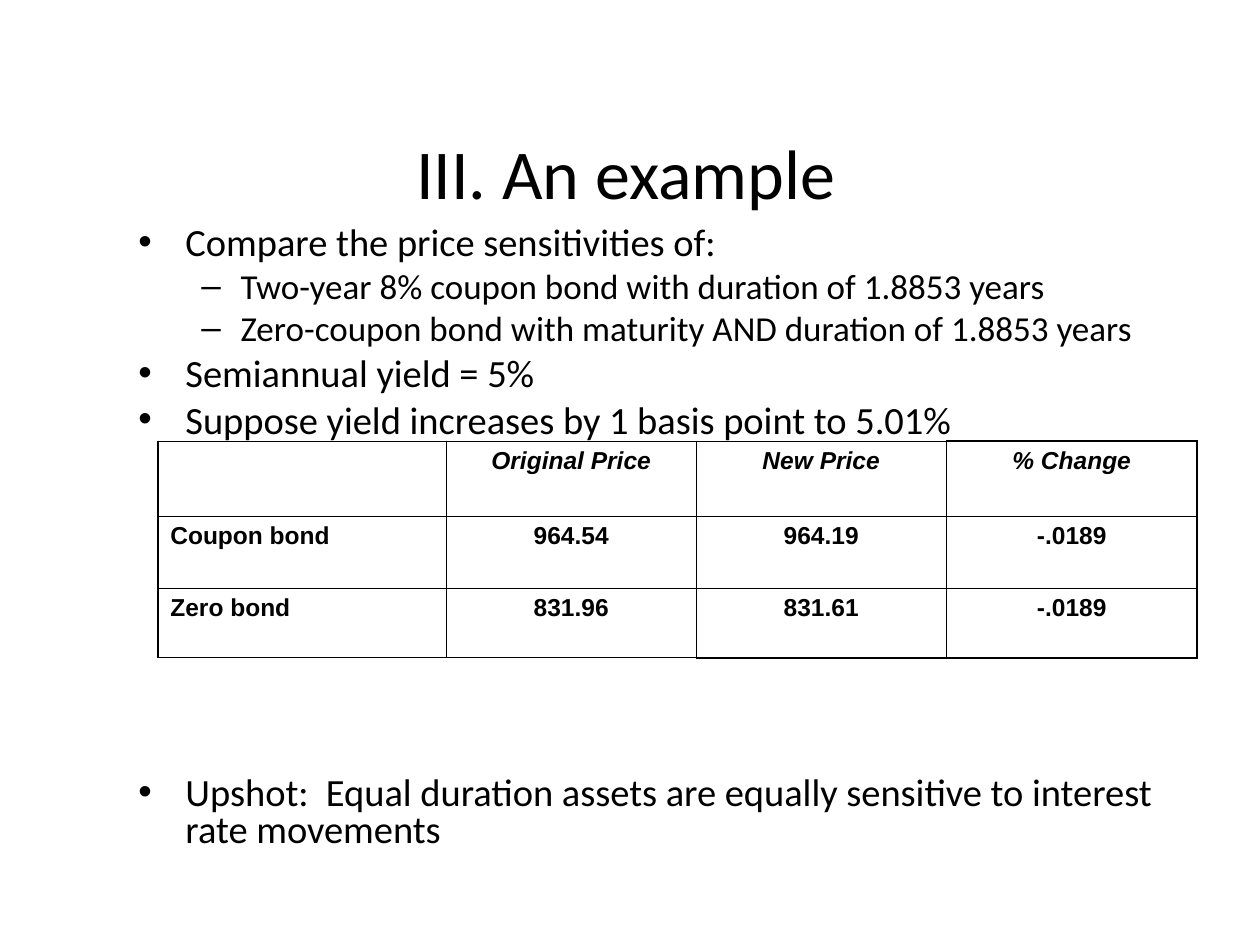
"""Build a slide comparing the price sensitivity of two bonds."""
from lxml import etree
from pptx import Presentation
from pptx import util as u
from pptx.dml.color import RGBColor
from pptx.enum import text
from pptx.oxml.ns import qn

BLACK = RGBColor(0, 0, 0)
THIN, THICK = u.Pt(0.45), u.Pt(1.08)


def add_run(para, words, font, size, bold=False, slant=False):
    run = para.add_run()
    run.text = words
    run.font.name, run.font.size = font, u.Pt(size)
    run.font.bold, run.font.italic = bold, slant
    run.font.color.rgb = BLACK


def add_node(base, tag, **attrs):
    return etree.SubElement(base, qn(tag), attrs)


deck = Presentation()
deck.slide_width, deck.slide_height = u.Cm(25.4), u.Cm(19.05)
slide = deck.slides.add_slide(deck.slide_layouts[5])

title = slide.shapes.title
title.left, title.top = u.Cm(0.84), u.Cm(2.97)
title.width, title.height = u.Cm(23.55), u.Cm(0.99)
frame = title.text_frame
frame.auto_size = text.MSO_AUTO_SIZE.NONE
frame.vertical_anchor = text.MSO_ANCHOR.MIDDLE
frame.paragraphs[0].alignment = text.PP_ALIGN.CENTER
add_run(frame.paragraphs[0], "III. An example", "Calibri", 40)

points = [
    (0, 0, "Compare the price sensitivities of:"),
    (1, 5, "Two-year 8% coupon bond with duration of 1.8853 years"),
    (1, 5, "Zero-coupon bond with maturity AND duration of 1.8853 years"),
    (0, 5.5, "Semiannual yield = 5%"),
    (0, 5.5, "Suppose yield increases by 1 basis point to 5.01%"),
    (0, 191.5, "Upshot:  Equal duration assets are equally sensitive to interest rate movements"),
]
styles = [("•", 0.95, 0.95, 22), ("–", 2.06, 0.79, 20)]
body = slide.shapes.add_textbox(u.Cm(2.54), u.Cm(4.45), u.Cm(21.39), u.Cm(14.6))
frame = body.text_frame
frame.word_wrap = True
for i, (level, gap, words) in enumerate(points):
    mark, left, hang, size = styles[level]
    para = frame.add_paragraph() if i else frame.paragraphs[0]
    props = para._p.get_or_add_pPr()
    props.set("marL", str(u.Cm(left)))
    props.set("indent", str(-u.Cm(hang)))
    color = add_node(props, "a:buClr")
    add_node(color, "a:srgbClr", val=str(BLACK))
    add_node(props, "a:buFont", typeface="Arial")
    add_node(props, "a:buChar", char=mark)
    para.level = level
    para.line_spacing = 0.8
    para.space_before = u.Pt(gap)
    add_run(para, words, "Calibri", size)

rows = [
    ("", "Original Price", "New Price", "% Change"),
    ("Coupon bond", "964.54", "964.19", "-.0189"),
    ("Zero bond", "831.96", "831.61", "-.0189"),
]
widths, heights = [5.82, 5.03, 5.05, 5.05], [1.52, 1.45, 1.4]
table = slide.shapes.add_table(
    3, 4, u.Cm(3.18), u.Cm(8.89), u.Cm(sum(widths)), u.Cm(sum(heights))
).table
table.first_row = table.horz_banding = False
for col, width in zip(table.columns, widths):
    col.width = u.Cm(width)
for row, height in zip(table.rows, heights):
    row.height = u.Cm(height)

for r, row in enumerate(rows):
    for c, words in enumerate(row):
        cell = table.cell(r, c)
        props = cell._tc.get_or_add_tcPr()
        thick = {
            "L": c == 0,
            "R": c == 3,
            "T": r == 0 and c == 3,
            "B": r == 2 and c >= 2,
        }
        for side, heavy in thick.items():
            line = add_node(props, "a:ln" + side, w=str(THICK if heavy else THIN))
            fill = add_node(line, "a:solidFill")
            add_node(fill, "a:srgbClr", val=str(BLACK))
        cell.fill.background()
        if words:
            para = cell.text_frame.paragraphs[0]
            para.alignment = text.PP_ALIGN.CENTER if c else text.PP_ALIGN.LEFT
            add_run(para, words, "Arial", 14, bold=True, slant=r == 0)

deck.save("out.pptx")
